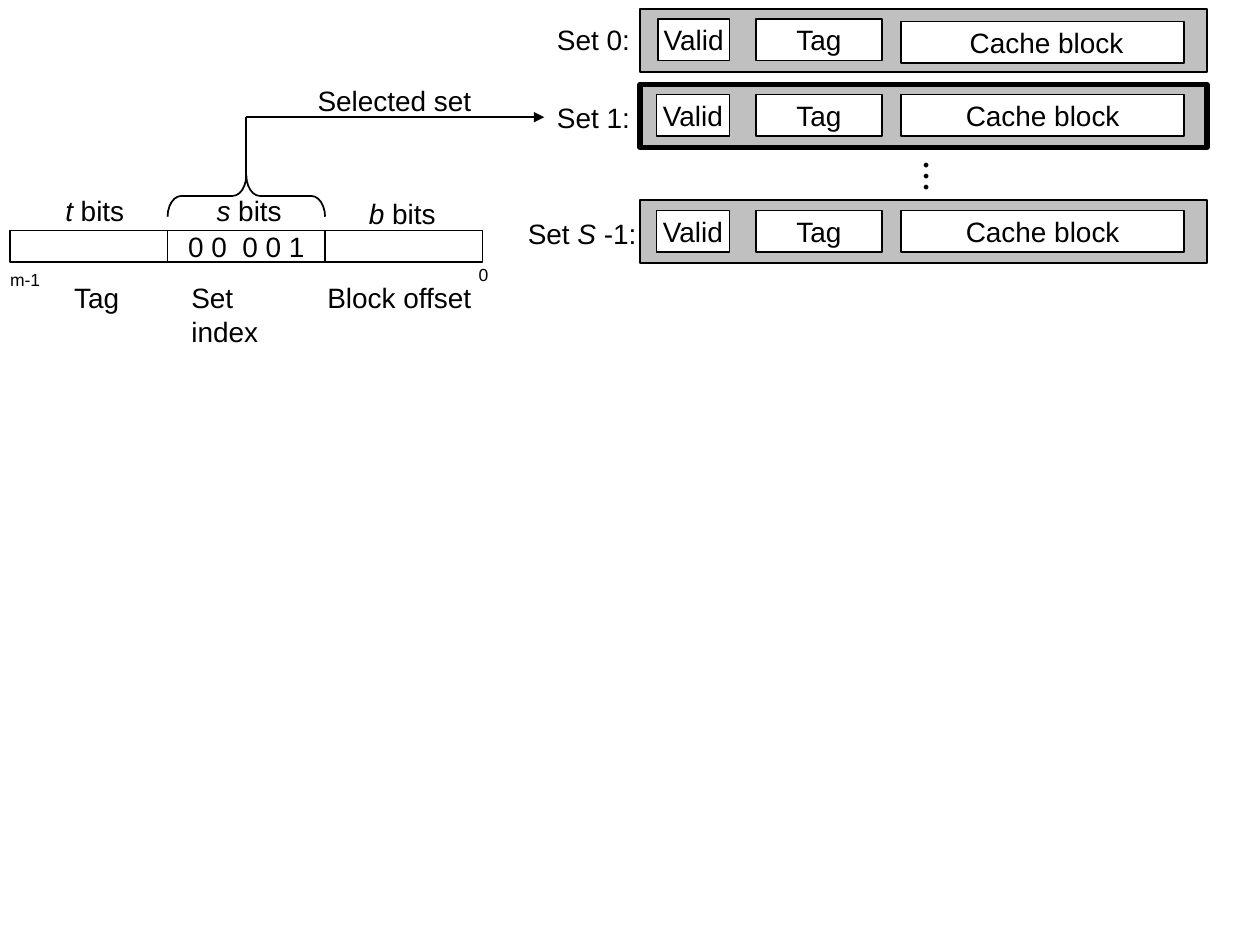
from pptx import Presentation
from pptx.dml.color import RGBColor
from pptx.enum.shapes import MSO_CONNECTOR as Link, MSO_SHAPE as Shape
from pptx.enum.text import MSO_ANCHOR as Anchor, MSO_AUTO_SIZE as Fit, PP_ALIGN as Align
from pptx.oxml.ns import qn
from pptx.util import Inches, Pt
from lxml import etree

BLACK = RGBColor(0, 0, 0)
WHITE = RGBColor(255, 255, 255)
GRAY = RGBColor(192, 192, 192)


def write(frame, runs, size=16, align=Align.CENTER, anchor=Anchor.MIDDLE):
    frame.word_wrap = False
    frame.vertical_anchor = anchor
    paragraph = frame.paragraphs[0]
    paragraph.alignment = align
    for words, italic in runs:
        run = paragraph.add_run()
        run.text = words
        font_format = {"name": "Arial", "size": Pt(size), "italic": italic}
        for key, value in font_format.items():
            setattr(run.font, key, value)
        run.font.color.rgb = BLACK


def add_label(slide, box, runs, **text_format):
    label = slide.shapes.add_textbox(*map(Inches, box))
    write(label.text_frame, runs, **text_format)
    label.text_frame.auto_size = Fit.SHAPE_TO_FIT_TEXT
    return label


def add_outline(slide, box, fill=None, weight=1, text=None, kind=Shape.RECTANGLE):
    outline = slide.shapes.add_shape(kind, *map(Inches, box))
    outline.shadow.inherit = False
    if fill is None:
        outline.fill.background()
    else:
        outline.fill.solid()
        outline.fill.fore_color.rgb = fill
    outline.line.color.rgb = BLACK
    outline.line.width = Pt(weight)
    if text:
        write(outline.text_frame, [(text, False)])
    return outline


def add_link(slide, start, end, arrow=False):
    link = slide.shapes.add_connector(Link.STRAIGHT, *map(Inches, start + end))
    link.line.color.rgb = BLACK
    link.line.width = Pt(1)
    if arrow:
        etree.SubElement(link.line._get_or_add_ln(), qn("a:tailEnd"), type="triangle")
    etree.SubElement(link._element.spPr, qn("a:effectLst"))


def draw_cache_set(slide, box, weight=1, valid_left=0.13, block_top=0.08,
                   block_text="Cache block"):
    left, top, width, height = box
    add_outline(slide, box, GRAY, weight)
    cells = [
        ("Valid", valid_left, 0.08, 0.71 - valid_left),
        ("Tag", 0.92, 0.08, 1),
        (block_text, 2.07, block_top, 2.25),
    ]
    for text, cell_left, cell_top, cell_width in cells:
        cell_box = (left + cell_left, top + cell_top, cell_width, 0.33)
        add_outline(slide, cell_box, WHITE, text=text)


def draw_cache(slide, box):
    left, top, width, height = box
    row_height = 0.5
    draw_cache_set(slide, (left, top, width, row_height), valid_left=0.14,
                   block_top=0.1, block_text=" Cache block")
    draw_cache_set(slide, (left, top + 0.6, width, row_height), weight=3)
    draw_cache_set(slide, (left, top + height - row_height, width, row_height))

    for number in range(2):
        add_label(slide, (left - 0.76, top + 0.06 + number * 0.62, 0.78, 0.37),
                  [(f"Set {number}:", False)])
    add_label(slide, (left - 0.99, top + 1.6, 1.06, 0.37),
              [("Set ", False), ("S ", True), ("-1:", False)])

    dots = add_label(slide, (left + 2.1, top + 1.12, 0.36, 0.33),
                     [("• • •", False)], size=10)
    margins = {"margin_left": 0.05, "margin_right": 0.05,
               "margin_top": 0.1, "margin_bottom": 0.1}
    for key, value in margins.items():
        setattr(dots.text_frame, key, Inches(value))
    dots.text_frame._txBody.bodyPr.set("vert", "eaVert")


def draw_address(slide, box):
    left, top, width, height = box
    field_width = width / 3
    fields = [
        ("t", "Tag", None, 0.34, -0.34, 0.67, 0.41, 0.58),
        ("s", "Set index", "0 0  0 0 1", 0.29, -0.34, 0.72, 0.09, 1.12),
        ("b", "Block offset", None, 0.25, -0.32, 0.73, -0.08, 1.34),
    ]
    for index, field in enumerate(fields):
        letter, name, bits, bits_left, bits_top, bits_width, name_left, name_width = field
        field_left = left + index * field_width
        add_outline(slide, (field_left, top, field_width, height), text=bits)
        add_label(slide, (field_left + bits_left, top + bits_top, bits_width, 0.36),
                  [(letter, True), (" bits", False)], align=Align.LEFT, anchor=Anchor.TOP)
        add_label(slide, (field_left + name_left, top + 0.35, name_width, 0.36),
                  [(name, False)], align=Align.LEFT, anchor=Anchor.TOP)

    add_label(slide, (left - 0.1, top + 0.25, 0.44, 0.27), [("m-1", False)], size=10)
    add_label(slide, (left + width - 0.13, top + 0.21, 0.27, 0.27),
              [("0", False)], size=10)


def draw_selection(slide, box):
    left, top, width, height = box
    brace_width, brace_depth = 1.25, 0.33
    middle = left + brace_width / 2
    brace_top = top + height - brace_depth
    brace_box = (middle - brace_depth / 2,
                 brace_top + (brace_depth - brace_width) / 2,
                 brace_depth, brace_width)
    brace = add_outline(slide, brace_box, kind=Shape.RIGHT_BRACE)
    brace.rotation = 270
    brace.adjustments[0] = 0.33

    add_link(slide, (middle, brace_top + 0.04), (middle, top))
    add_link(slide, (middle, top), (left + width, top), arrow=True)
    add_label(slide, (left + 1.09, top - 0.32, 1.42, 0.37), [("Selected set", False)])


def main():
    deck = Presentation()
    deck.slide_width, deck.slide_height = Inches(10), Inches(7.5)
    slide = deck.slides.add_slide(deck.slide_layouts[6])
    draw_cache(slide, (5.08, 0.07, 4.5, 2.02))
    draw_address(slide, (0.08, 1.83, 3.75, 0.25))
    draw_selection(slide, (1.33, 0.93, 2.99, 0.79))
    deck.save("out.pptx")


if __name__ == "__main__":
    main()
